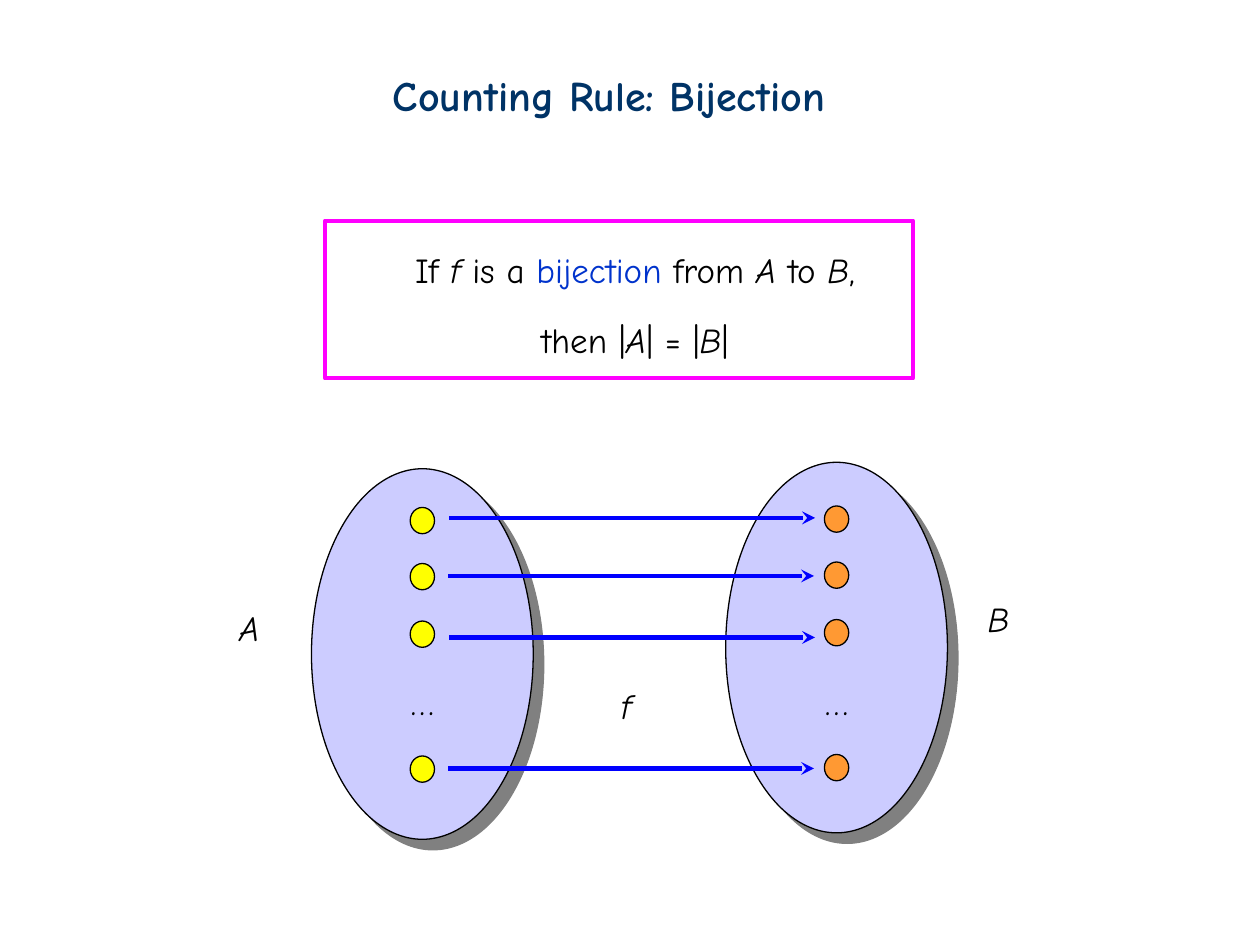
"""Build the bijection counting rule slide."""
from lxml.etree import SubElement
from pptx import Presentation
from pptx.dml.color import RGBColor
from pptx.enum.shapes import MSO_CONNECTOR, MSO_SHAPE
from pptx.enum.text import MSO_ANCHOR, MSO_AUTO_SIZE, PP_ALIGN
from pptx.oxml.ns import qn
from pptx.util import Cm, Pt

COLORS = {"title": "003366", "text": "000000", "term": "0033CC", "set": "CCCCFF",
          "shadow": "808080", "source": "FFFF00", "target": "FF9933",
          "arrow": "0000FF", "frame": "FF00FF"}
BASE = {"name": "Comic Neue", "size": Pt(20), "bold": False, "italic": False}
TITLE = {**BASE, "size": Pt(24), "bold": True}
ITALIC = {**BASE, "italic": True}
FRAME = {"auto_size": MSO_AUTO_SIZE.NONE, "vertical_anchor": MSO_ANCHOR.TOP,
         "margin_left": Cm(0.25), "margin_right": Cm(0.25),
         "margin_top": Cm(0.13), "margin_bottom": Cm(0.13)}
RULE = [
    [("If ", BASE), ("f", ITALIC), (" is a ", BASE), ("bijection", BASE, "term"),
     (" from ", BASE), ("A", ITALIC), (" to ", BASE), ("B", ITALIC), (",", BASE)],
    [("then |", BASE), ("A", ITALIC), ("| = |", BASE), ("B", ITALIC), ("|", BASE)],
]
DOT_TOPS = (10.23, 11.36, 12.52, 15.24)
ARROWS = ((9.06, 10.44), (9.04, 11.61), (9.06, 12.85), (9.04, 15.49))
SETS = (("source", 6.28, 9.45), ("target", 14.63, 9.32))


def rgb(key):
    return RGBColor.from_string(COLORS[key])


def set_attrs(obj, values):
    for name, value in values.items():
        setattr(obj, name, value)


def place(s, left, top, width, height):
    set_attrs(s, {"left": Cm(left), "top": Cm(top),
                  "width": Cm(width), "height": Cm(height)})


def add_run(p, text, font, color="text"):
    r = p.add_run()
    r.text = text
    set_attrs(r.font, font)
    r.font.color.rgb = rgb(color)


def fill_title(s):
    place(s, 7.67, 1.27, 10.24, 1.27)
    set_attrs(s.text_frame, {**FRAME, "word_wrap": False})
    p = s.text_frame.paragraphs[0]
    p.alignment = PP_ALIGN.LEFT
    add_run(p, "Counting Rule: Bijection", TITLE, "title")


def fill_body(s):
    place(s, 1.27, 4.88, 23.06, 2.54)
    tf = s.text_frame
    set_attrs(tf, {**FRAME, "word_wrap": True})
    for i, (runs, spacing) in enumerate(zip(RULE, (1.0, 1.5))):
        p = tf.add_paragraph() if i else tf.paragraphs[0]
        set_attrs(p, {"alignment": PP_ALIGN.CENTER, "line_spacing": spacing})
        pPr = p._p.get_or_add_pPr()
        pPr.set("marL", str(Cm(0.95)))
        pPr.set("indent", str(-Cm(0.95)))
        SubElement(pPr, qn("a:buNone"))
        for run in runs:
            add_run(p, *run)


def add_label(shapes, text, left, top, width, font=ITALIC, align=PP_ALIGN.LEFT):
    s = shapes.add_textbox(Cm(left), Cm(top), Cm(width), Cm(1.09))
    set_attrs(s.text_frame, {**FRAME, "word_wrap": False})
    p = s.text_frame.paragraphs[0]
    p.alignment = align
    add_run(p, text, font)


def add_shape(shapes, kind, box, fill, line, weight):
    s = shapes.add_shape(kind, *map(Cm, box))
    s.shadow.inherit = False
    if fill:
        s.fill.solid()
        s.fill.fore_color.rgb = rgb(fill)
    else:
        s.fill.background()
    s.line.color.rgb = rgb(line)
    s.line.width = Pt(weight)
    return s


def add_set(shapes, left, top):
    s = add_shape(shapes, MSO_SHAPE.OVAL, (left, top, 4.47, 7.47), "set", "text", 0.75)
    effects = s._element.spPr.find(qn("a:effectLst"))
    shadow = SubElement(effects, qn("a:outerShdw"), dist=str(Pt(8.5)),
                        dir="2700000", algn="ctr", rotWithShape="0")
    SubElement(shadow, qn("a:srgbClr"), val=COLORS["shadow"])


def add_members(shapes, color, left, shift):
    for top in DOT_TOPS:
        add_shape(shapes, MSO_SHAPE.OVAL, (left + 1.99, top + shift, 0.49, 0.53),
                  color, "text", 0.75)
    add_label(shapes, "…", left + 1.74, 13.59, 0.99, BASE, PP_ALIGN.CENTER)


def add_arrow(shapes, left, y):
    s = shapes.add_connector(MSO_CONNECTOR.STRAIGHT,
                             Cm(left), Cm(y), Cm(left + 7.37), Cm(y))
    s.line.color.rgb = rgb("arrow")
    s.line.width = Pt(2.5)
    SubElement(s.line._get_or_add_ln(), qn("a:tailEnd"), type="stealth")
    SubElement(s._element.spPr, qn("a:effectLst"))


def main():
    prs = Presentation()
    set_attrs(prs, {"slide_width": Cm(25.4), "slide_height": Cm(19.05)})
    shapes = prs.slides.add_slide(prs.slide_layouts[1]).shapes
    fill_title(shapes.title)
    fill_body(shapes.placeholders[1])
    sets = shapes.add_group_shape().shapes
    for _, left, top in SETS:
        add_set(sets, left, top)
    add_label(sets, "A", 4.57, 12.09, 1.02)
    add_label(sets, "B", 19.66, 11.91, 0.97)
    for (color, left, _), shift in zip(SETS, (0, -0.03)):
        add_members(sets, color, left, shift)
    arrows = shapes.add_group_shape().shapes
    for left, y in ARROWS:
        add_arrow(arrows, left, y)
    add_label(shapes, "f", 12.27, 13.67, 0.86)
    add_shape(shapes, MSO_SHAPE.RECTANGLE, (6.55, 4.45, 11.86, 3.18),
              None, "frame", 2.25)
    prs.save("out.pptx")


if __name__ == "__main__":
    main()
